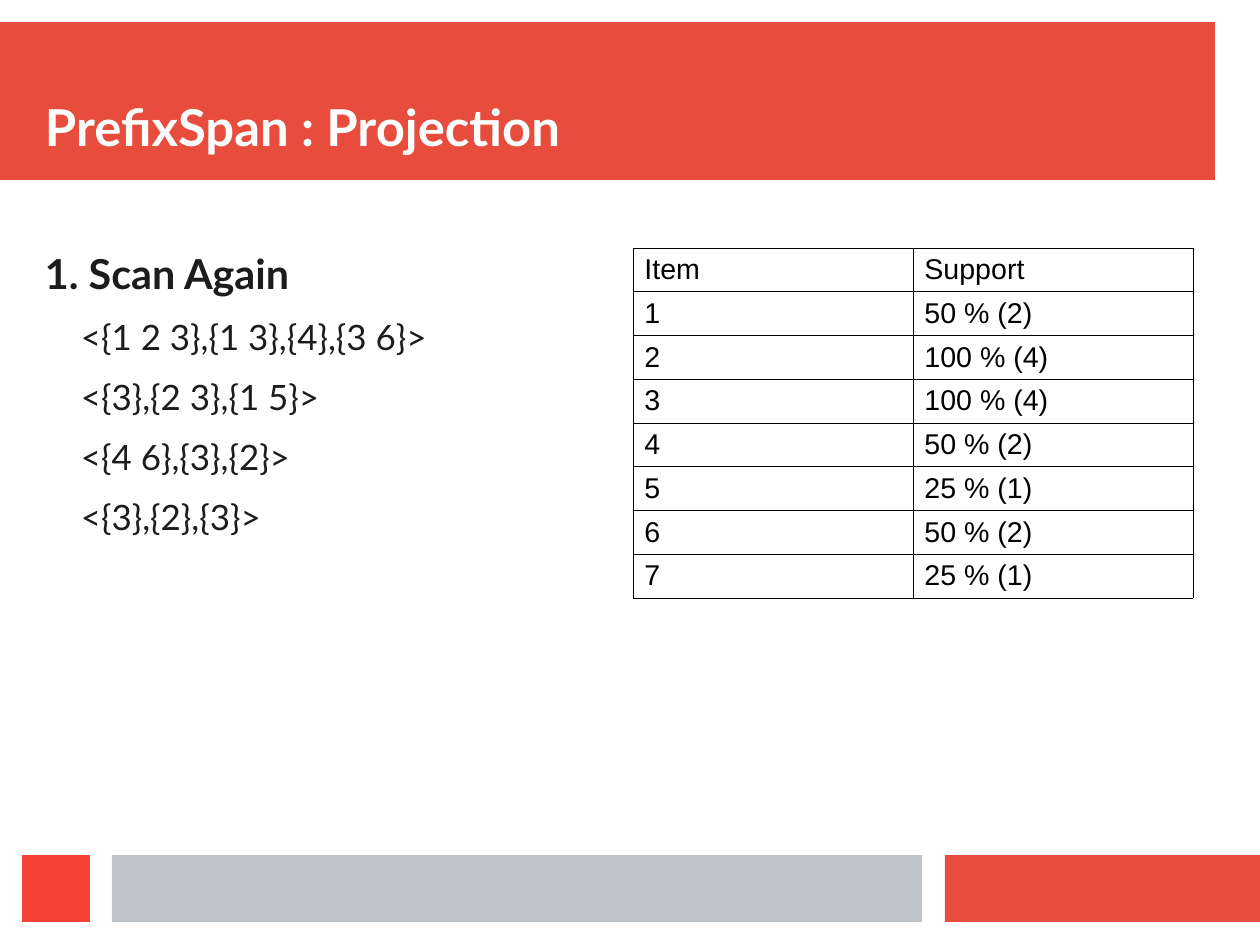
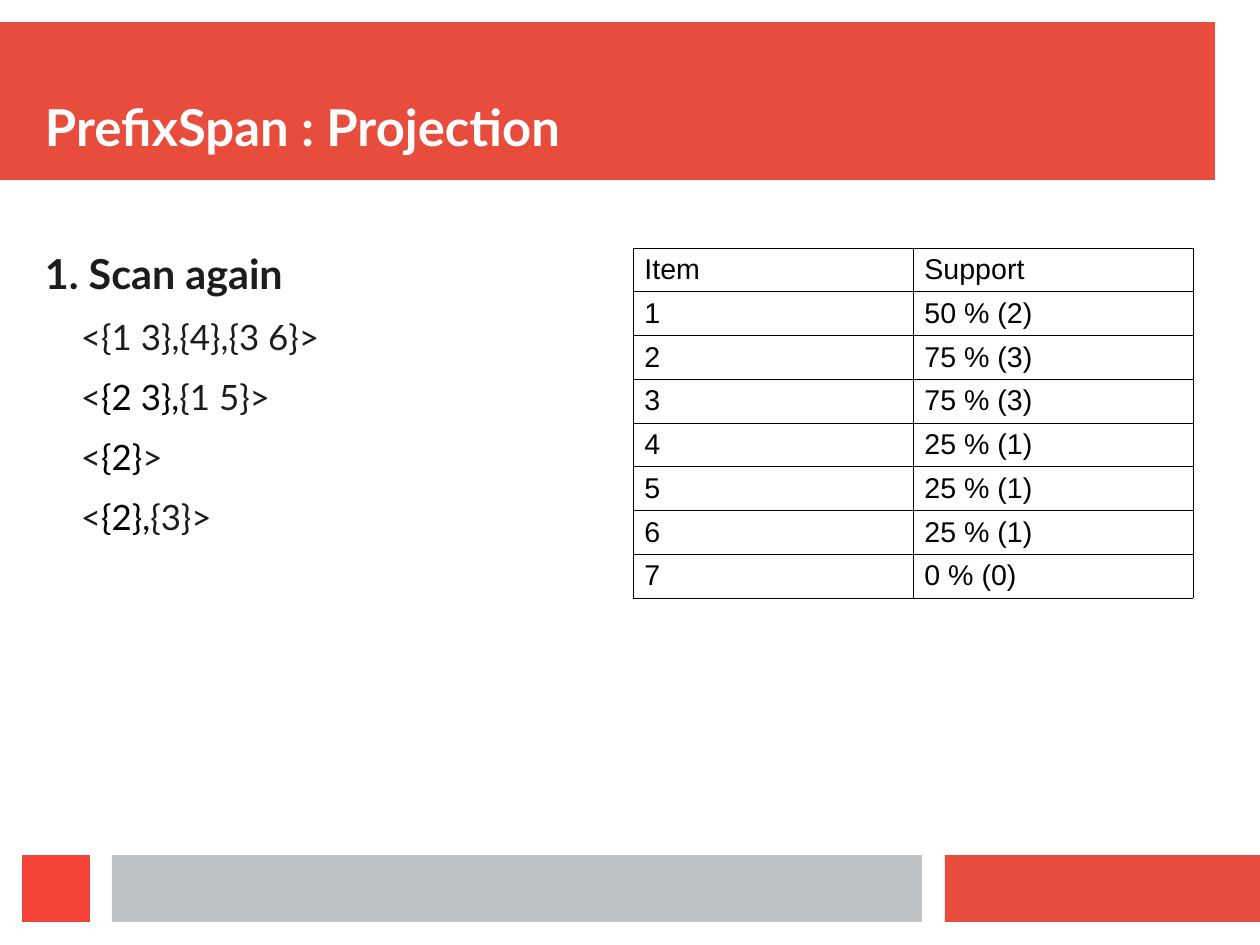
from lxml import etree
from pptx import Presentation
from pptx import util as u
from pptx.dml.color import RGBColor
from pptx.enum import shapes, text
from pptx.oxml.ns import qn

# Content: in a sequence, every second part is the highlighted one
TITLE = "PrefixSpan : Projection"
HEADER = ("Item", "Support")
SLIDES = [
    {
        "heading": "1. Scan Again",
        "sequences": [
            ("<{1 2 3},{1 3},{4},{3 6}>",),
            ("<{3},{2 3},{1 5}>",),
            ("<{4 6},{3},{2}>",),
            ("<{3},{2},{3}>",),
        ],
        "support": ["50 % (2)", "100 % (4)", "100 % (4)", "50 % (2)",
                    "25 % (1)", "50 % (2)", "25 % (1)"],
    },
    {
        "heading": "1. Scan again",
        "sequences": [
            ("<{1 3},{4},{3 6}>",),
            ("<", "{2 3},", "{1 5}>"),
            ("<", "{2}", ">"),
            ("<", "{2},", "{3}>"),
        ],
        "support": ["50 % (2)", "75 % (3)", "75 % (3)", "25 % (1)",
                    "25 % (1)", "25 % (1)", "0 % (0)"],
    },
]

# Shared style
RED = RGBColor(0xE7, 0x4C, 0x3C)
BRIGHT_RED = RGBColor(0xF4, 0x43, 0x36)
GREY = RGBColor(0xBD, 0xC3, 0xC7)
WHITE = RGBColor(0xFF, 0xFF, 0xFF)
INK = RGBColor(0x1C, 0x1C, 0x1C)
BLACK = RGBColor(0x00, 0x00, 0x00)
FONT, TABLE_FONT = "Lato", "Arial"

# Layout in px
PX = 8000
SLIDE_SIZE = (1260, 945)
BANDS = [
    ((0, 22, 1215, 158), RED),
    ((945, 855, 315, 67), RED),
    ((112, 855, 810, 67), GREY),
    ((22, 855, 68, 67), BRIGHT_RED),
]
TITLE_AREA = (45, 45, 1170, 112)
BODY_AREA = (45, 248, 560, 585)
TABLE_AREA = (633, 248, 560, 350)
SEQUENCE_INDENT = 36


def emu(lengths):
    return [u.Emu(length * PX) for length in lengths]


def style_font(font, name, size, color, bold=False):
    font.name, font.size, font.bold = name, u.Pt(size), bold
    font.color.rgb = color


def prepare_frame(frame):
    frame.margin_left = frame.margin_top = 0
    frame.margin_right = frame.margin_bottom = 0
    frame.word_wrap = True
    frame.auto_size = text.MSO_AUTO_SIZE.NONE


def move_bands_to_layout(page, layout):
    """Draw the bands once and hand them to the layout, behind its placeholders."""
    for position, (area, color) in enumerate(BANDS, start=2):
        band = page.shapes.add_shape(shapes.MSO_SHAPE.RECTANGLE, *emu(area))
        band.shadow.inherit = False
        band.fill.solid()
        band.fill.fore_color.rgb = color
        band.line.fill.background()
        layout.shapes.element.insert(position, band.element)


def write_title(page):
    title = page.shapes.title
    title.left, title.top, title.width, title.height = emu(TITLE_AREA)
    frame = title.text_frame
    prepare_frame(frame)
    frame.vertical_anchor = text.MSO_ANCHOR.BOTTOM
    frame.text = TITLE
    para = frame.paragraphs[0]
    para.alignment = text.PP_ALIGN.LEFT
    style_font(para.runs[0].font, FONT, 32, WHITE, bold=True)


def write_body(page, heading, sequences):
    frame = page.shapes.add_textbox(*emu(BODY_AREA)).text_frame
    prepare_frame(frame)
    frame.text = heading
    para = frame.paragraphs[0]
    para.space_after = u.Pt(11.4)
    style_font(para.runs[0].font, FONT, 26, INK, bold=True)
    for parts in sequences:
        para = frame.add_paragraph()
        para.level = 1
        para.space_after = u.Pt(11.3)
        properties = para._p.get_or_add_pPr()
        properties.set("marL", str(SEQUENCE_INDENT * PX))
        properties.set("indent", "0")
        for index, part in enumerate(parts):
            span = para.add_run()
            span.text = part
            style_font(span.font, FONT, 22, BLACK if index % 2 else INK)


def add_borders(cell):
    properties = cell._tc.get_or_add_tcPr()
    for position, side in enumerate(("lnL", "lnR", "lnT", "lnB")):
        line = etree.Element(qn(f"a:{side}"), w=str(u.Pt(0.57)))
        fill = etree.SubElement(line, qn("a:solidFill"))
        etree.SubElement(fill, qn("a:srgbClr"), val=str(BLACK))
        properties.insert(position, line)


def add_support_table(page, support):
    rows = [HEADER] + [(str(item), value) for item, value in enumerate(support, start=1)]
    table = page.shapes.add_table(len(rows), len(HEADER), *emu(TABLE_AREA)).table
    table.first_row = table.horz_banding = False
    for row_index, row in enumerate(rows):
        for column_index, value in enumerate(row):
            cell = table.cell(row_index, column_index)
            cell.fill.background()
            add_borders(cell)
            cell.text_frame.text = value
            span = cell.text_frame.paragraphs[0].runs[0]
            style_font(span.font, TABLE_FONT, 18, BLACK)


def main():
    deck = Presentation()
    deck.slide_width, deck.slide_height = emu(SLIDE_SIZE)
    layout = deck.slide_layouts[5]
    for index, content in enumerate(SLIDES):
        page = deck.slides.add_slide(layout)
        if index == 0:
            move_bands_to_layout(page, layout)
        write_title(page)
        write_body(page, content["heading"], content["sequences"])
        add_support_table(page, content["support"])
    deck.save("out.pptx")


if __name__ == "__main__":
    main()
